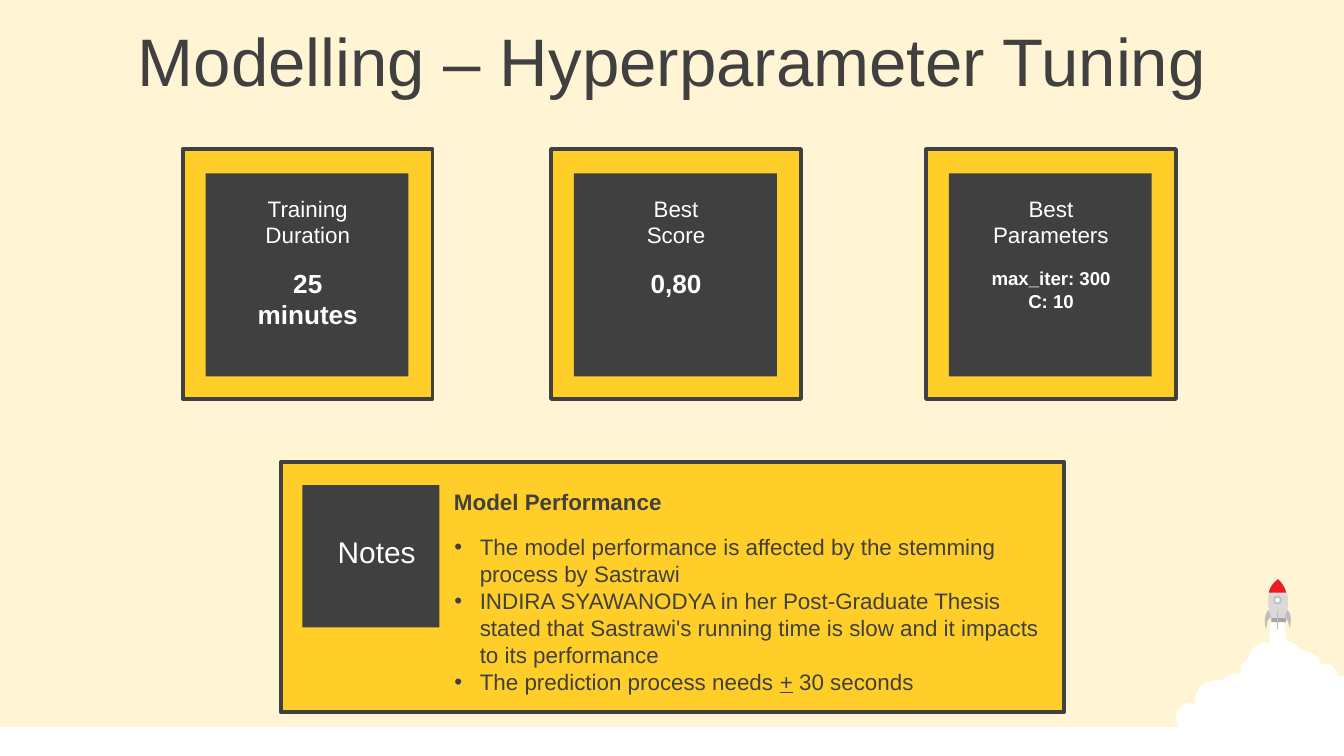
from lxml import etree
from pptx import Presentation
from pptx.dml.color import RGBColor
from pptx.enum.shapes import MSO_SHAPE as SHAPE
from pptx.enum.text import MSO_ANCHOR as ANCHOR, MSO_AUTO_SIZE as AUTO, PP_ALIGN as ALIGN
from pptx.oxml.ns import qn
from pptx.util import Inches, Pt

W = 10
H = W * 9 / 16
DARK, YELLOW, CREAM, WHITE = "404040", "FFCE29", "FFF5D4", "FFFFFF"
SILVER, GREY, STEEL, RED = "D9D9D9", "BFBFBF", "A6A6A6", "ED1C24"
CARD, CARD_TOP, INNER, INSET = 1.86, 1.11, 1.51, 0.17
PANEL_X, PANEL_Y, PANEL_W = 2.09, 3.44, 5.83
NOTES_X, NOTES_W = 3.28, 4.56

CARDS = [  # left edge, heading, heading width, value lines, value width, value size
    (1.36, "Training Duration", 0.95, ["25 minutes"], 0.95, 14),
    (4.10, "Best Score", 0.95, ["0,80"], 0.95, 14),
    (6.89, "Best Parameters", 1.23, ["max_iter: 300", "C: 10"], 1.29, 10),
]
NOTES = [
    ["The model performance is affected by the stemming process by Sastrawi"],
    ["INDIRA SYAWANODYA in her Post-Graduate Thesis stated that "
     "Sastrawi's running time is slow and it impacts to its performance"],
    ["The prediction process needs ", "+", " 30 seconds"],
]

# Outlines: two numbers are a corner, six are a Bezier curve to the last pair.
CLOUD = [
    (9.46, 4.59), (9.55, 4.59), (9.57, 4.77), (9.59, 4.77),
    (9.62, 4.78, 9.65, 4.8, 9.67, 4.83), (9.69, 4.84),
    (9.75, 4.84, 9.81, 4.88, 9.83, 4.94), (9.86, 4.94),
    (9.9, 4.94, 9.94, 4.97, 9.95, 5.02), (9.95, 5.03), (10, 5.03),
    (10, 5.61), (8.93, 5.61), (8.93, 5.43), (8.92, 5.44),
    (8.91, 5.45, 8.89, 5.45, 8.86, 5.45), (8.8, 5.45, 8.75, 5.4, 8.75, 5.34),
    (8.75, 5.28, 8.8, 5.23, 8.86, 5.23), (8.89, 5.24), (8.89, 5.22),
    (8.89, 5.13, 8.96, 5.06, 9.06, 5.06), (9.1, 5.06), (9.11, 5.05),
    (9.14, 5.02, 9.18, 5.01, 9.23, 5.01), (9.23, 4.98),
    (9.23, 4.95, 9.25, 4.92, 9.28, 4.91), (9.29, 4.89),
    (9.3, 4.83, 9.36, 4.78, 9.42, 4.78), (9.44, 4.79),
]
HULL = [(9.46, 4.62), (9.44, 4.53, 9.4, 4.4, 9.51, 4.31),
        (9.62, 4.41, 9.58, 4.54, 9.56, 4.62)]
NOSE = [(9.51, 4.31), (9.54, 4.34, 9.56, 4.37, 9.57, 4.41), (9.44, 4.41),
        (9.45, 4.37, 9.47, 4.34, 9.51, 4.31)]
LEFT_FIN = [(9.44, 4.54), (9.46, 4.59), (9.42, 4.61, 9.43, 4.66, 9.42, 4.68),
            (9.41, 4.65, 9.4, 4.57, 9.44, 4.54)]
RIGHT_FIN = [(9.58, 4.54), (9.56, 4.59), (9.59, 4.61, 9.59, 4.66, 9.6, 4.68),
             (9.6, 4.65, 9.62, 4.57, 9.58, 4.54)]


def rgb(color):
    return RGBColor.from_string(color)


def place(sp, x, y, w, h):
    sp.left, sp.top, sp.width, sp.height = (Inches(v) for v in (x, y, w, h))


def paint(sp, fill, line=None, weight=2):
    sp.shadow.inherit = False
    sp.fill.solid()
    sp.fill.fore_color.rgb = rgb(fill)
    if line:
        sp.line.color.rgb = rgb(line)
        sp.line.width = Pt(weight)
    else:
        sp.line.fill.background()


def add_block(slide, x, y, w, h, fill, line=None, weight=2, kind=SHAPE.RECTANGLE):
    sp = slide.shapes.add_shape(kind, *(Inches(v) for v in (x, y, w, h)))
    paint(sp, fill, line, weight)


def flatten(outline, steps=8):
    """Turn corners and Bezier curves into a list of points."""
    points = []
    for seg in outline:
        if len(seg) == 2:
            points.append(seg)
            continue
        ctrl = [points[-1], seg[:2], seg[2:4], seg[4:]]
        for i in range(1, steps + 1):
            t = i / steps
            weights = ((1 - t) ** 3, 3 * t * (1 - t) ** 2, 3 * t * t * (1 - t), t ** 3)
            points.append(tuple(sum(k * c[axis] for k, c in zip(weights, ctrl))
                                for axis in (0, 1)))
    return [(Inches(x), Inches(y)) for x, y in points]


def add_outline(slide, outline, fill):
    start, *rest = flatten(outline)
    builder = slide.shapes.build_freeform(*start)
    builder.add_line_segments(rest, close=True)
    paint(builder.convert_to_shape(), fill)


def style(p, size, color, bold=False, align=ALIGN.LEFT):
    p.alignment = align
    for r in p.runs:
        r.font.name, r.font.size, r.font.bold = "Arial", Pt(size), bold
        r.font.color.rgb = rgb(color)


def add_text(slide, x, y, w, h, lines, size, color, bold=False, align=ALIGN.CENTER):
    tf = slide.shapes.add_textbox(*(Inches(v) for v in (x, y, w, h))).text_frame
    tf.word_wrap = True
    tf.text = "\n".join(lines)
    for p in tf.paragraphs:
        style(p, size, color, bold, align)


def add_bullet(p, indent=0.19):
    pPr = p._p.get_or_add_pPr()
    pPr.set("marL", str(Inches(indent)))
    pPr.set("indent", str(-Inches(indent)))
    etree.SubElement(pPr, qn("a:buFont"), typeface="Arial")
    etree.SubElement(pPr, qn("a:buChar"), char="•")


def set_title(sp, text):
    place(sp, 0, 0.13, W, 0.63)
    tf = sp.text_frame
    tf.text = text
    tf.auto_size, tf.vertical_anchor = AUTO.NONE, ANCHOR.MIDDLE
    style(tf.paragraphs[0], 36, DARK, align=ALIGN.CENTER)


def set_notes(slide, sp):
    place(sp, NOTES_X, 3.92, NOTES_W, 1.31)
    slide.shapes.element.append(sp.element)  # bring in front of the panel
    tf = sp.text_frame
    tf.auto_size = AUTO.NONE
    for i, pieces in enumerate(NOTES):
        p = tf.add_paragraph() if i else tf.paragraphs[0]
        for piece in pieces:
            r = p.add_run()
            r.text = piece
            r.font.underline = piece == "+"
        p.space_before = Pt(0)
        style(p, 12, DARK)
        add_bullet(p)


def add_rocket(slide):
    add_outline(slide, CLOUD, WHITE)
    add_outline(slide, HULL, SILVER)
    add_block(slide, 9.46, 4.6, 0.11, 0.03, STEEL)
    add_outline(slide, NOSE, RED)
    add_block(slide, 9.48, 4.44, 0.05, 0.05, WHITE, GREY, 1, SHAPE.OVAL)
    add_block(slide, 9.5, 4.55, 0.01, 0.13, GREY)
    for fin in (LEFT_FIN, RIGHT_FIN):
        add_outline(slide, fin, GREY)


def add_card(slide, x, heading, heading_w, values, value_w, size):
    center = x + CARD / 2
    add_block(slide, x, CARD_TOP, CARD, CARD, YELLOW, DARK)
    add_block(slide, x + INSET, CARD_TOP + 0.18, INNER, INNER, DARK)
    add_text(slide, center - heading_w / 2, 1.4, heading_w, 0.5, [heading], 12, WHITE)
    add_text(slide, center - value_w / 2, 1.94, value_w, 0.5, values, size, WHITE, True)


def add_notes_panel(slide):
    add_block(slide, PANEL_X, PANEL_Y, PANEL_W, CARD, YELLOW, DARK)
    add_block(slide, PANEL_X + 0.16, PANEL_Y + INSET, 1.02, 1.06, DARK)
    add_text(slide, 2.34, 3.92, 0.85, 0.37, ["Notes"], 16, WHITE, align=ALIGN.RIGHT)
    add_text(slide, NOTES_X, 3.58, NOTES_W, 0.36, ["Model Performance"], 12, DARK,
             True, ALIGN.LEFT)


def main():
    prs = Presentation()
    prs.slide_width, prs.slide_height = Inches(W), Inches(H)
    slide = prs.slides.add_slide(prs.slide_layouts[1])
    slide.background.fill.solid()
    slide.background.fill.fore_color.rgb = rgb(CREAM)
    title, body = slide.placeholders
    add_block(slide, 0, 5.41, W, H - 5.41, WHITE)
    add_rocket(slide)
    set_title(title, "Modelling – Hyperparameter Tuning")
    add_notes_panel(slide)
    set_notes(slide, body)
    for card in CARDS:
        add_card(slide, *card)
    prs.save("out.pptx")


if __name__ == "__main__":
    main()
